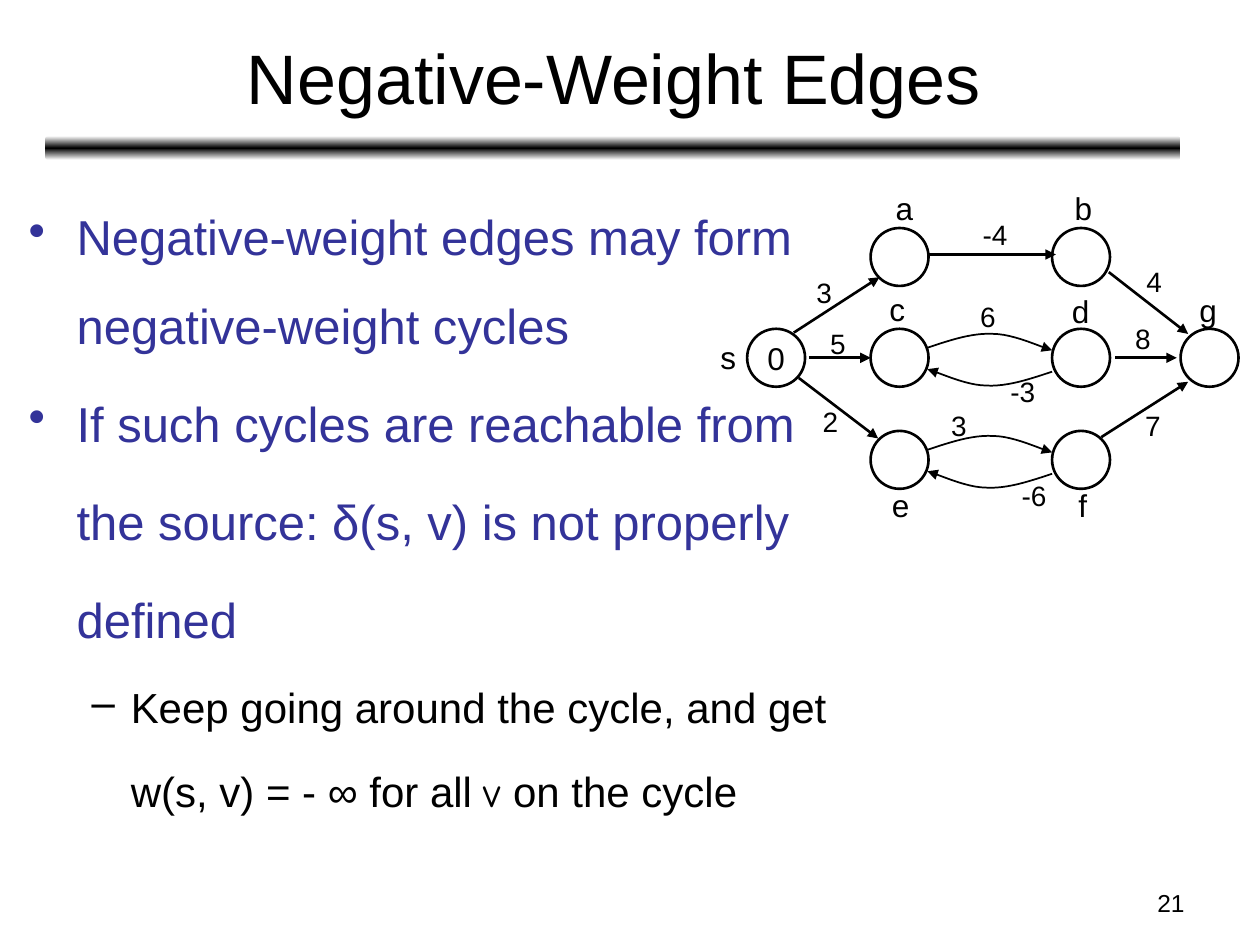
from copy import deepcopy
from dataclasses import dataclass

from lxml import etree
from pptx import Presentation, util as u
from pptx.dml import color
from pptx.enum import shapes, text
from pptx.oxml import ns


@dataclass(frozen=True)
class Theme:
    font: str = "Arial"
    accent_font: str = "Comic Neue"
    ink: color.RGBColor = color.RGBColor(0, 0, 0)
    paper: color.RGBColor = color.RGBColor(255, 255, 255)
    bullet_ink: color.RGBColor = color.RGBColor(0x33, 0x33, 0x99)
    title_size: int = 40
    body_sizes: tuple = (28, 24)
    name_size: int = 18
    weight_size: int = 16
    number_size: int = 14
    line_width: float = 1.5
    curve_width: float = 1


@dataclass(frozen=True)
class Node:
    left: float
    top: float
    name: str
    name_left: float
    name_top: float
    name_width: float = 0.34
    value: str = ""


@dataclass(frozen=True)
class Edge:
    start: tuple
    end: tuple
    weight: str
    weight_left: float
    weight_top: float


@dataclass(frozen=True)
class CycleEdge:
    drop: float
    backward: bool
    weight: str
    weight_left: float
    weight_top: float


@dataclass(frozen=True)
class BodyLine:
    pieces: tuple
    level: int = 0
    bullet: str = ""


THEME = Theme()
DIAMETER = 0.46
SOURCE_X, LEFT_X, RIGHT_X, GOAL_X = 5.93, 6.91, 8.35, 9.37
TOP_Y, MIDDLE_Y, BOTTOM_Y = 1.81, 2.61, 3.42
CYCLE_CENTRE = (7.855, 2.855)
FORWARD_CURVE = (
    ((7.36, 2.76), (7.54, 2.7), (7.72, 2.64), (7.88, 2.65)),
    ((7.88, 2.65), (8.05, 2.65), (8.27, 2.76), (8.35, 2.78)),
)
CURVE_STEPS = 12
BODY_INDENTS = ((0.38, 0.38), (0.81, 0.31))

NODES = (
    Node(SOURCE_X, MIDDLE_Y, "s", 5.62, 2.63, value="0"),
    Node(LEFT_X, TOP_Y, "a", 7.01, 1.45),
    Node(RIGHT_X, TOP_Y, "b", 8.43, 1.45),
    Node(LEFT_X, MIDDLE_Y, "c", 6.96, 2.25),
    Node(RIGHT_X, MIDDLE_Y, "d", 8.41, 2.27),
    Node(LEFT_X, BOTTOM_Y, "e", 6.98, 3.81),
    Node(RIGHT_X, BOTTOM_Y, "f", 8.46, 3.81, 0.27),
    Node(GOAL_X, MIDDLE_Y, "g", 9.42, 2.26),
)
EDGES = (
    Edge((7.37, 2.02), (8.38, 2.02), "-4", 7.7, 1.68),
    Edge((6.3, 2.64), (6.98, 2.2), "3", 6.38, 2.14),
    Edge((6.34, 3), (6.97, 3.48), "2", 6.43, 3.16),
    Edge((8.8, 2.16), (9.43, 2.65), "4", 9, 2.05),
    Edge((8.74, 3.47), (9.43, 3.03), "7", 8.99, 3.19),
    Edge((6.42, 2.84), (6.91, 2.84), "5", 6.49, 2.54),
    Edge((8.85, 2.84), (9.34, 2.84), "8", 8.91, 2.5),
)
CYCLE_EDGES = (
    CycleEdge(0, False, "6", 7.68, 2.33),
    CycleEdge(0, True, "-3", 7.92, 2.92),
    CycleEdge(0.81, False, "3", 7.45, 3.19),
    CycleEdge(0.81, True, "-6", 8.01, 3.75),
)
BODY = (
    BodyLine(("Negative-weight edges may form negative-weight cycles",), bullet="•"),
    BodyLine(("If such cycles are reachable from",), bullet="•"),
    BodyLine(("the source: δ(s, v) is not properly",)),
    BodyLine(("defined",)),
    BodyLine(("Keep going around the cycle, and get",), 1, "–"),
    BodyLine(("w(s, v) = - ∞ for all ", "v", " on the cycle"), 1),
)


def format_run(run, size: float, ink=THEME.ink, font: str = THEME.font) -> None:
    run.font.size, run.font.name = u.Pt(size), font
    run.font.color.rgb = ink


def add_text(slide, box: tuple, words: str, size: float,
             align=text.PP_ALIGN.LEFT, wrap: bool = False):
    frame = slide.shapes.add_textbox(*map(u.Inches, box)).text_frame
    frame.word_wrap = wrap
    frame.text = words
    paragraph = frame.paragraphs[0]
    paragraph.alignment = align
    for run in paragraph.runs:
        format_run(run, size)
    return frame


def add_weight(slide, edge) -> None:
    width = 0.32 if len(edge.weight) == 1 else 0.4
    add_text(slide, (edge.weight_left, edge.weight_top, width, 0.37),
             edge.weight, THEME.weight_size)


def style_line(shape, width: float, arrow: bool = False) -> None:
    shape.line.color.rgb = THEME.ink
    shape.line.width = u.Pt(width)
    if arrow:
        line = shape._element.spPr.find(ns.qn("a:ln"))
        etree.SubElement(line, ns.qn("a:tailEnd"), type="triangle")


def draw_node(slide, node: Node) -> None:
    circle = slide.shapes.add_shape(
        shapes.MSO_SHAPE.OVAL, u.Inches(node.left), u.Inches(node.top),
        u.Inches(DIAMETER), u.Inches(DIAMETER))
    circle.shadow.inherit = False
    circle.fill.background()
    style_line(circle, THEME.line_width)
    if node.value:
        frame = circle.text_frame
        frame.word_wrap = False
        frame.vertical_anchor = text.MSO_ANCHOR.MIDDLE
        frame.text = node.value
        frame.paragraphs[0].alignment = text.PP_ALIGN.CENTER
        format_run(frame.paragraphs[0].runs[0], THEME.name_size)
    add_text(slide, (node.name_left, node.name_top, node.name_width, 0.4),
             node.name, THEME.name_size)


def draw_edge(slide, edge: Edge) -> None:
    connector = slide.shapes.add_connector(
        shapes.MSO_CONNECTOR.STRAIGHT, *map(u.Inches, edge.start + edge.end))
    style_line(connector, THEME.line_width, arrow=True)
    etree.SubElement(connector._element.spPr, ns.qn("a:effectLst"))
    add_weight(slide, edge)


def bezier_point(controls: tuple, t: float) -> tuple:
    factors = ((1 - t) ** 3, 3 * t * (1 - t) ** 2, 3 * t * t * (1 - t), t ** 3)
    return tuple(sum(f * c[axis] for f, c in zip(factors, controls)) for axis in (0, 1))


def draw_cycle_edge(slide, edge: CycleEdge) -> None:
    points = [FORWARD_CURVE[0][0]] + [
        bezier_point(controls, step / CURVE_STEPS)
        for controls in FORWARD_CURVE for step in range(1, CURVE_STEPS + 1)]
    if edge.backward:
        points = [(2 * CYCLE_CENTRE[0] - x, 2 * CYCLE_CENTRE[1] - y) for x, y in points]
    points = [(u.Inches(x), u.Inches(y + edge.drop)) for x, y in points]
    builder = slide.shapes.build_freeform(*points[0])
    builder.add_line_segments(points[1:], close=False)
    curve = builder.convert_to_shape()
    curve.shadow.inherit = False
    curve.fill.background()
    style_line(curve, THEME.curve_width, arrow=True)
    add_weight(slide, edge)


def draw_title_rule(slide) -> None:
    rule = slide.shapes.add_shape(shapes.MSO_SHAPE.ROUNDED_RECTANGLE,
                                  *map(u.Inches, (0.36, 1.08, 9.01, 0.19)))
    rule.shadow.inherit = False
    rule.line.fill.background()
    rule.fill.gradient()
    rule.fill.gradient_angle = 270
    stop_list = rule._element.spPr.find(".//" + ns.qn("a:gsLst"))
    stop_list.insert(1, deepcopy(stop_list[0]))
    inks = (THEME.paper, THEME.ink, THEME.paper)
    for stop, ink, position in zip(rule.fill.gradient_stops, inks, (0, 0.5, 1)):
        stop.color.rgb, stop.position = ink, position


def draw_body(slide) -> None:
    frame = add_text(slide, (0.13, 1.36, 7.84, 5.55), "", THEME.body_sizes[0], wrap=True)
    for index, line in enumerate(BODY):
        paragraph = frame.add_paragraph() if index else frame.paragraphs[0]
        size = THEME.body_sizes[line.level]
        margin, hanging = BODY_INDENTS[line.level]
        paragraph.level = line.level
        paragraph.line_spacing = 1.5
        paragraph.space_before = u.Pt(size * 0.2)
        properties = paragraph._p.get_or_add_pPr()
        properties.set("marL", str(u.Inches(margin)))
        properties.set("indent", str(u.Inches(-hanging if line.bullet else 0)))
        if line.bullet:
            etree.SubElement(properties, ns.qn("a:buChar"), char=line.bullet)
        for piece in line.pieces:
            run = paragraph.add_run()
            run.text = piece
            format_run(run, size, THEME.ink if line.level else THEME.bullet_ink,
                       THEME.accent_font if piece == "v" else THEME.font)


def main() -> None:
    presentation = Presentation()
    presentation.slide_width, presentation.slide_height = u.Inches(10), u.Inches(7.5)
    slide = presentation.slides.add_slide(presentation.slide_layouts[6])
    draw_title_rule(slide)
    add_text(slide, (7.17, 7, 2.33, 0.35), "21", THEME.number_size,
             text.PP_ALIGN.RIGHT, wrap=True)
    title = add_text(slide, (0.37, 0.11, 9, 0.99), "Negative-Weight Edges",
                     THEME.title_size, text.PP_ALIGN.CENTER, wrap=True)
    title.vertical_anchor = text.MSO_ANCHOR.MIDDLE
    draw_body(slide)
    for draw, items in ((draw_node, NODES), (draw_edge, EDGES),
                        (draw_cycle_edge, CYCLE_EDGES)):
        for item in items:
            draw(slide, item)
    presentation.save("out.pptx")


if __name__ == "__main__":
    main()
